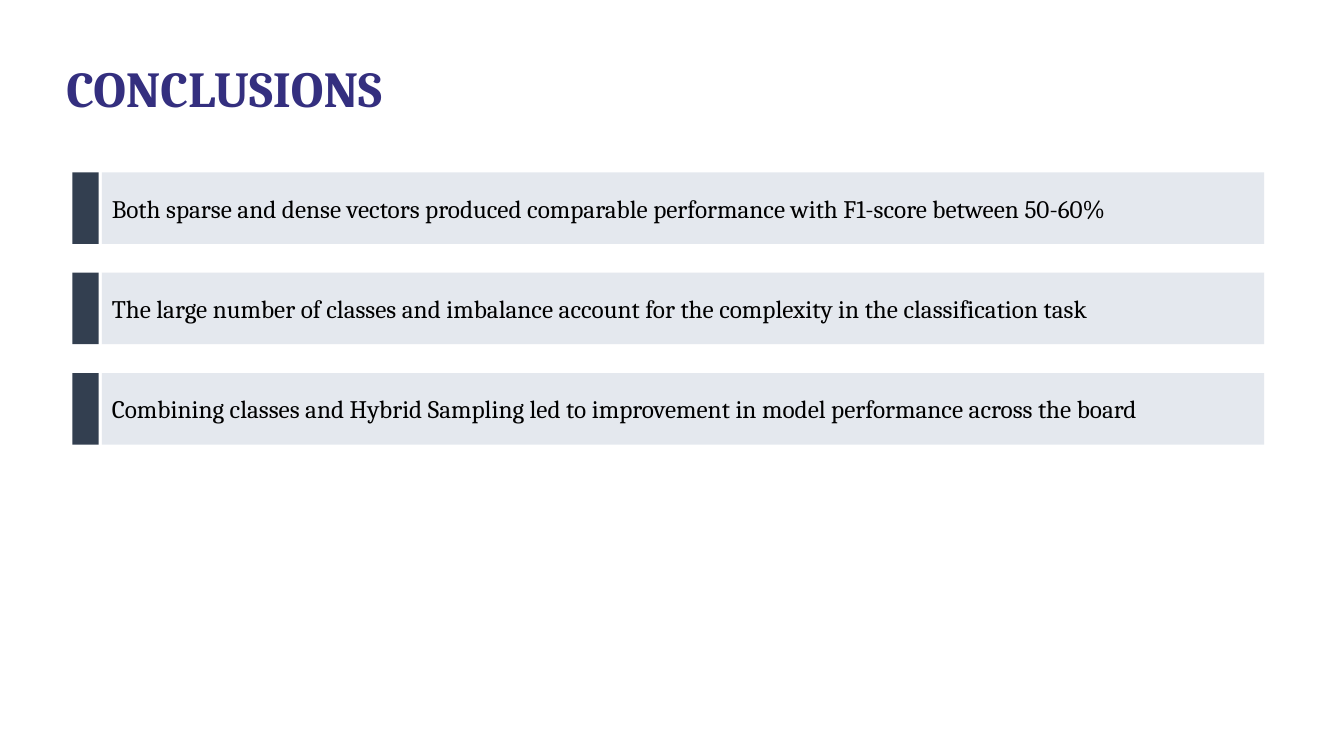
from lxml.etree import SubElement
from pptx import Presentation
from pptx.dml.color import RGBColor
from pptx.enum.shapes import MSO_SHAPE
from pptx.enum.text import MSO_ANCHOR, PP_ALIGN
from pptx.oxml.ns import qn
from pptx.util import Pt

INDIGO = RGBColor(0x34, 0x2F, 0x7F)
SLATE = RGBColor(0x33, 0x3F, 0x50)
MIST = RGBColor(0xD6, 0xDC, 0xE5)
BLACK = RGBColor(0, 0, 0)

FONT = "Cambria"
FIRST_TOP = 123.1
ROW_PITCH = 71.7
ROW_HEIGHT = 51.1

CONCLUSIONS = [
    "Both sparse and dense vectors produced comparable performance with F1-score between 50-60%",
    "The large number of classes and imbalance account for the complexity in the classification task",
    "Combining classes and Hybrid Sampling led to improvement in model performance across the board",
]


def write_text(holder, text, size=18, color=BLACK, bold=False, anchor=MSO_ANCHOR.MIDDLE):
    frame = holder.text_frame
    frame.word_wrap = True
    frame.vertical_anchor = anchor
    paragraph = frame.paragraphs[0]
    paragraph.alignment = PP_ALIGN.LEFT
    run = paragraph.add_run()
    run.text = text
    run.font.name = FONT
    run.font.size = Pt(size)
    run.font.bold = bold
    run.font.color.rgb = color


def add_title(slide, text):
    title = slide.shapes.add_textbox(Pt(40.3), Pt(37.4), Pt(931), Pt(51.1))
    write_text(title, text, size=36, color=INDIGO, bold=True, anchor=MSO_ANCHOR.TOP)


def add_block(slide, left, top, width, color, opacity=100):
    block = slide.shapes.add_shape(
        MSO_SHAPE.RECTANGLE, Pt(left), Pt(top), Pt(width), Pt(ROW_HEIGHT)
    )
    block.shadow.inherit = False
    block.line.fill.background()
    block.fill.solid()
    block.fill.fore_color.rgb = color
    if opacity < 100:
        tint = block.fill._xPr.find(qn("a:solidFill"))[0]
        SubElement(tint, qn("a:alpha")).set("val", str(opacity * 1000))
    return block


def add_conclusion(slide, top, text):
    band = add_block(slide, 72.8, top, 830.2, MIST, opacity=64)
    write_text(band, text)
    add_block(slide, 51.8, top, 18.7, SLATE)


def main():
    deck = Presentation()
    deck.slide_width = Pt(960)
    deck.slide_height = Pt(540)
    slide = deck.slides.add_slide(deck.slide_layouts[6])
    add_title(slide, "CONCLUSIONS")
    for row, text in enumerate(CONCLUSIONS):
        add_conclusion(slide, FIRST_TOP + row * ROW_PITCH, text)
    deck.save("out.pptx")


if __name__ == "__main__":
    main()
